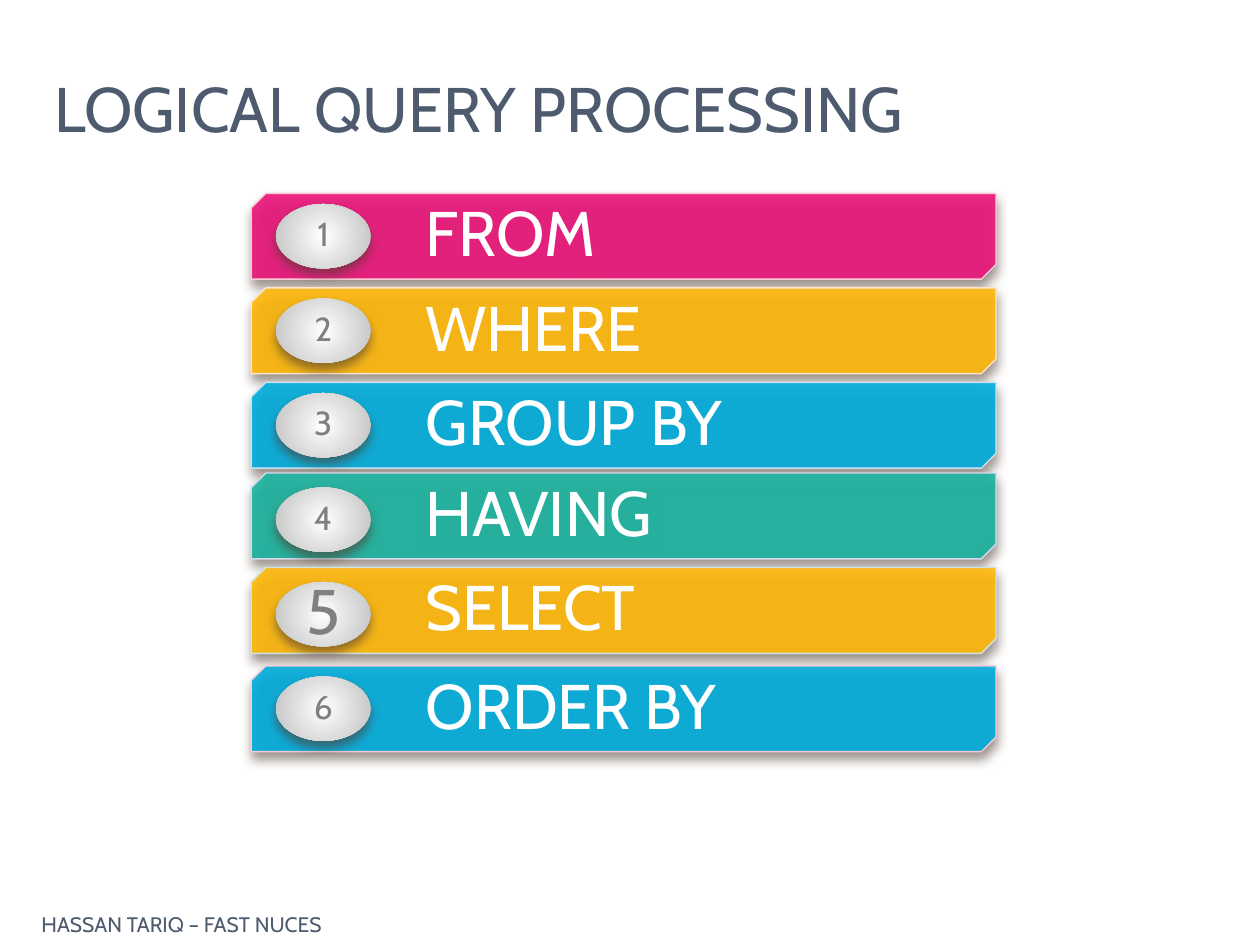
from lxml import etree
from pptx import Presentation
from pptx.dml.color import RGBColor
from pptx.enum.shapes import MSO_SHAPE as Shape
from pptx.enum.text import MSO_ANCHOR as Anchor, PP_ALIGN as Align
from pptx.oxml import parse_xml
from pptx.oxml.ns import nsdecls, qn
from pptx.util import Pt

# Content: clause, number size, fill, outline, vertical nudge of the bar
TITLE = "LOGICAL QUERY PROCESSING"
FOOTER = "HASSAN TARIQ – FAST NUCES"
CLAUSES = [
    ("FROM", 19, "EA157A", "F7CCD7", 0),
    ("WHERE", 19, "FEB80A", "FFE6CC", 0),
    ("GROUP BY", 19, "00ADDC", "CCE3F2", 0),
    ("HAVING", 19, "1AB39F", "D5DAEB", -2.2),
    ("SELECT", 36, "FEB80A", "CDE5DF", -2.2),
    ("ORDER BY", 19, "00ADDC", "F7CCD7", 0),
]

THEME = {
    "font": "Cabin", "heading": "4E5B6F", "label": "FFFFFF", "number": "808080",
    "shadow": "4E3B30", "badge": ("FFFFFF", "BFBFBF"), "large": 36, "small": 12,
}

# Layout in points
BAR_LEFT, BAR_TOP, BAR_WIDTH, BAR_HEIGHT = 143.6, 110.5, 425.5, 49
BADGE_LEFT, BADGE_WIDTH, BADGE_HEIGHT = 157.7, 54, 36.8
PITCH = 54
LABEL_INDENT = 95.5


def set_text(shape, text, size, color, align=Align.LEFT, anchor=Anchor.MIDDLE,
             margins=(0, 0, 0, 0), spacing=1.0):
    frame = shape.text_frame
    frame.text = text
    left, top, right, bottom = map(Pt, margins)
    formats = {"word_wrap": True, "vertical_anchor": anchor, "margin_left": left,
               "margin_top": top, "margin_right": right, "margin_bottom": bottom}
    for name, value in formats.items():
        setattr(frame, name, value)
    para = frame.paragraphs[0]
    para.alignment, para.line_spacing = align, spacing
    for name, value in {"name": THEME["font"], "size": Pt(size), "bold": False}.items():
        setattr(para.font, name, value)
    para.font.color.rgb = RGBColor.from_string(color)


def add_shadow(shape):
    shape.shadow.inherit = False
    effects = shape._element.spPr.find(qn("a:effectLst"))
    effects.append(parse_xml(
        f'<a:outerShdw {nsdecls("a")} blurRad="{Pt(6)}" dist="{Pt(4)}" dir="5400000" '
        f'rotWithShape="0"><a:srgbClr val="{THEME["shadow"]}"><a:alpha val="60000"/>'
        '</a:srgbClr></a:outerShdw>'))


def add_bar(page, top, label, fill, outline):
    bar = page.shapes.add_shape(Shape.SNIP_2_DIAG_RECTANGLE, Pt(BAR_LEFT), Pt(top),
                                Pt(BAR_WIDTH), Pt(BAR_HEIGHT))
    bar.adjustments[0], bar.adjustments[1] = 0.17, 0
    bar.fill.solid()
    bar.fill.fore_color.rgb = RGBColor.from_string(fill)
    color = bar._element.spPr.find(qn("a:solidFill"))[0]
    etree.SubElement(color, qn("a:alpha"), val="90000")
    bar.line.color.rgb = RGBColor.from_string(outline)
    bar.line.width = Pt(0.79)
    add_shadow(bar)
    set_text(bar, label, THEME["large"], THEME["label"],
             margins=(LABEL_INDENT, 0, 0, 0), spacing=0.9)


def add_badge(page, top, number, size):
    badge = page.shapes.add_shape(Shape.OVAL, Pt(BADGE_LEFT), Pt(top),
                                  Pt(BADGE_WIDTH), Pt(BADGE_HEIGHT))
    inner, outer = THEME["badge"]
    badge._element.spPr.find(qn("a:prstGeom")).addnext(parse_xml(
        f'<a:gradFill {nsdecls("a")}><a:gsLst>'
        f'<a:gs pos="0"><a:srgbClr val="{inner}"/></a:gs>'
        f'<a:gs pos="100000"><a:srgbClr val="{outer}"/></a:gs></a:gsLst>'
        '<a:path path="circle"><a:fillToRect l="50000" t="50000" r="50000" b="50000"/>'
        '</a:path></a:gradFill>'))
    badge.line.fill.background()
    add_shadow(badge)
    set_text(badge, str(number), size, THEME["number"], Align.CENTER, spacing=0.9)


def main():
    deck = Presentation()
    deck.slide_width, deck.slide_height = Pt(720), Pt(540)
    page = deck.slides.add_slide(deck.slide_layouts[5])

    # Title
    title = page.shapes.title
    title.left, title.top, title.width, title.height = map(Pt, (23.8, 36, 684, 66))
    set_text(title, TITLE, THEME["large"], THEME["heading"], anchor=Anchor.TOP,
             margins=(7.2, 3.6, 7.2, 3.6))

    # Numbered clause bars
    badge_top = BAR_TOP + (BAR_HEIGHT - BADGE_HEIGHT) / 2
    for index, (label, size, fill, outline, nudge) in enumerate(CLAUSES):
        offset = index * PITCH
        add_bar(page, BAR_TOP + offset + nudge, label, fill, outline)
        add_badge(page, badge_top + offset, index + 1, size)

    # Footer
    footer = page.shapes.add_textbox(*map(Pt, (16.6, 522, 482, 12.2)))
    set_text(footer, FOOTER, THEME["small"], THEME["heading"], margins=(7.2, 0, 7.2, 0))

    deck.save("out.pptx")


if __name__ == "__main__":
    main()
